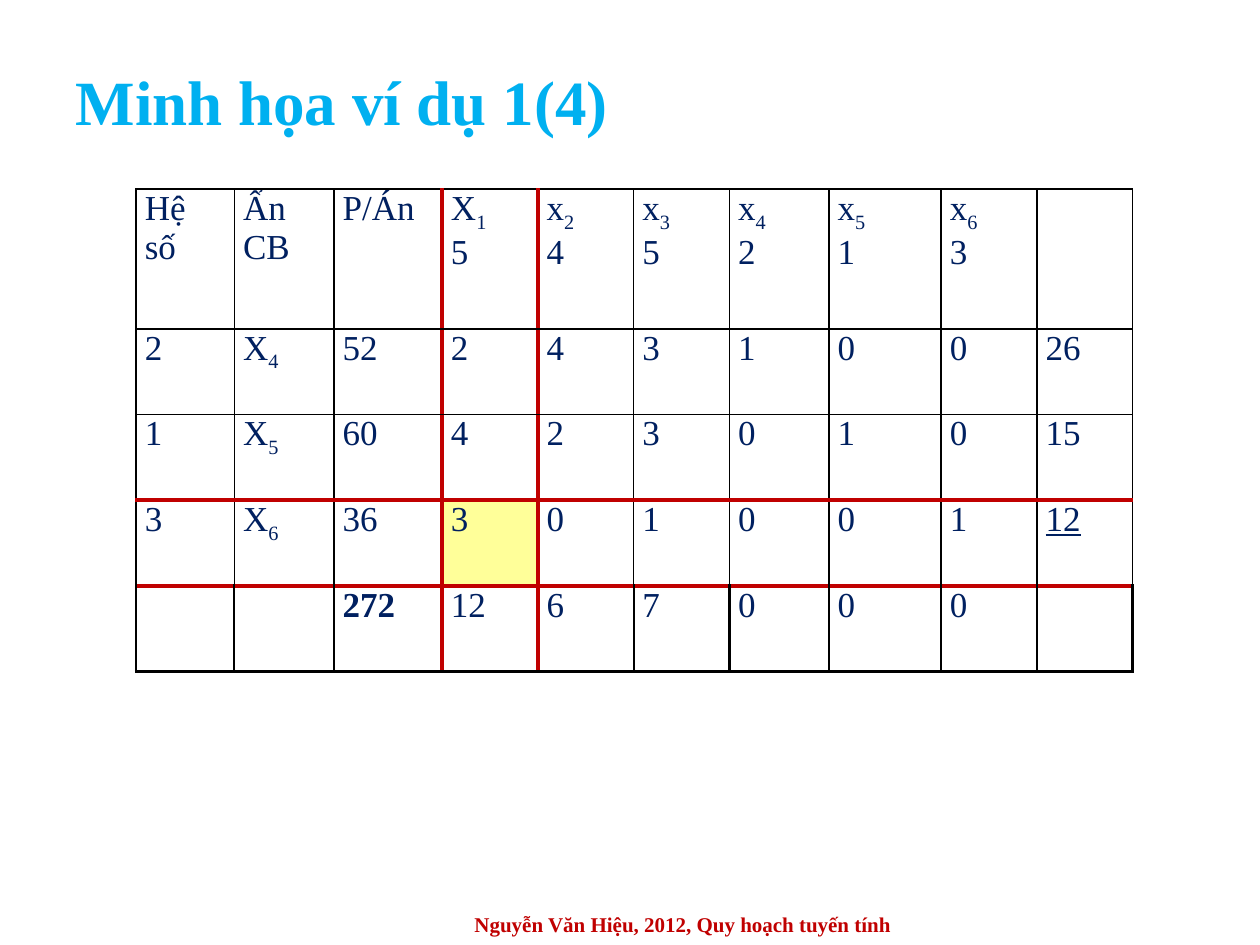
import dataclasses

import lxml.etree
import pptx
import pptx.dml.color
import pptx.enum.text
import pptx.oxml.ns
import pptx.util
from pptx.util import Inches


@dataclasses.dataclass(frozen=True)
class Theme:
    """Font, colours and type sizes of the slide."""
    font: str = "Times New Roman"
    title: str = "00B0F0"
    body: str = "002060"
    accent: str = "C00000"
    rule: str = "000000"
    pivot: str = "FFFF99"
    title_size: int = 36
    body_size: int = 20
    footer_size: int = 12


THEME = Theme()
ALIGN = pptx.enum.text.PP_ALIGN
MIDDLE = pptx.enum.text.MSO_ANCHOR.MIDDLE
COLUMNS = [0.78, 0.79, 0.86, 0.76, 0.76, 0.76, 0.79, 0.89, 0.76, 0.76]
ROWS = [1.11] + [0.68] * 4
SIMPLEX = [
    ["Hệ số", "Ẩn CB", "P/Án", "X_1\n5", "x_2\n4", "x_3\n5", "x_4\n2", "x_5\n1", "x_6\n3", ""],
    ["2", "X_4", "52", "2", "4", "3", "1", "0", "0", "26"],
    ["1", "X_5", "60", "4", "2", "3", "0", "1", "0", "15"],
    ["3", "X_6", "36", "3", "0", "1", "0", "0", "1", "12"],
    ["", "", "272", "12", "6", "7", "0", "0", "0", ""],
]
PIVOT = (3, 3)
BOLD_CELL = (4, 2)
UNDERLINED_CELL = (3, 9)


def write(frame, text, *, size, color, align, bold=False, underline=False):
    """Write lines of text, setting what follows an underscore as a subscript."""
    for index, line in enumerate(text.split("\n")):
        para = frame.paragraphs[0] if index == 0 else frame.add_paragraph()
        para.alignment = align
        for level, part in enumerate(line.split("_")):
            if not part:
                continue
            span = para.add_run()
            span.text = part
            span.font.name = THEME.font
            span.font.size = pptx.util.Pt(size)
            span.font.color.rgb = pptx.dml.color.RGBColor.from_string(color)
            span.font.bold = bold
            span.font.underline = underline
            if level:
                span._r.get_or_add_rPr().set("baseline", "-25000")


def place(shape, box):
    """Move a shape to a box of left, top, width and height."""
    shape.left, shape.top, shape.width, shape.height = box


def add_title(page, box, text):
    """Fill and place the title placeholder."""
    title = page.shapes.title
    place(title, box)
    title.text_frame.vertical_anchor = MIDDLE
    write(title.text_frame, text, size=THEME.title_size, color=THEME.title,
          align=ALIGN.LEFT, bold=True)


def draw_border(cell, side, color, width):
    """Draw one side of a cell border."""
    qn = pptx.oxml.ns.qn
    line = lxml.etree.SubElement(cell._tc.get_or_add_tcPr(), qn(f"a:ln{side}"),
                                 w=str(pptx.util.Pt(width)))
    fill = lxml.etree.SubElement(line, qn("a:solidFill"))
    lxml.etree.SubElement(fill, qn("a:srgbClr"), val=color)


def format_cell(cell, row, column):
    """Set the borders, margins and fill of a cell, with the pivot lines in red."""
    plain = (THEME.rule, 1.5 if row == len(ROWS) - 1 else 1)
    red = (THEME.accent, 2.25)
    edges = {
        "L": column - PIVOT[1],
        "R": column + 1 - PIVOT[1],
        "T": row - PIVOT[0],
        "B": row + 1 - PIVOT[0],
    }
    for side, offset in edges.items():
        draw_border(cell, side, *(red if offset in (0, 1) else plain))
    cell.margin_left = cell.margin_right = Inches(0.07)
    cell.margin_top = cell.margin_bottom = 0
    if (row, column) == PIVOT:
        cell.fill.solid()
        cell.fill.fore_color.rgb = pptx.dml.color.RGBColor.from_string(THEME.pivot)
    else:
        cell.fill.background()


def add_simplex_table(page, box):
    """Add the simplex table."""
    table = page.shapes.add_table(len(ROWS), len(COLUMNS), *box).table
    table.first_row = table.horz_banding = False
    for column, width in zip(table.columns, COLUMNS):
        column.width = Inches(width)
    for row, height in zip(table.rows, ROWS):
        row.height = Inches(height)
    for row, texts in enumerate(SIMPLEX):
        for column, text in enumerate(texts):
            cell = table.cell(row, column)
            format_cell(cell, row, column)
            write(cell.text_frame, text, size=THEME.body_size, color=THEME.body,
                  align=ALIGN.JUSTIFY, bold=(row, column) == BOLD_CELL,
                  underline=(row, column) == UNDERLINED_CELL)


def add_footer(page, box, text):
    """Add the centred credit line at the foot."""
    frame = page.shapes.add_textbox(*box).text_frame
    frame.word_wrap = True
    frame.vertical_anchor = MIDDLE
    write(frame, text, size=THEME.footer_size, color=THEME.accent,
          align=ALIGN.CENTER, bold=True)


def main():
    """Build and save the slide."""
    deck = pptx.Presentation()
    deck.slide_width, deck.slide_height = Inches(10), Inches(7.5)
    page = deck.slides.add_slide(deck.slide_layouts.get_by_name("Title Only"))
    add_title(page, (Inches(0.5), Inches(0.42), Inches(9), Inches(0.75)),
              "Minh họa ví dụ 1(4)")
    add_simplex_table(page, (Inches(1.08), Inches(1.5),
                             Inches(sum(COLUMNS)), Inches(sum(ROWS))))
    add_footer(page, (Inches(2.92), Inches(7.17), Inches(5), Inches(0.33)),
               "Nguyễn Văn Hiệu, 2012, Quy hoạch tuyến tính")
    deck.save("out.pptx")


if __name__ == "__main__":
    main()
